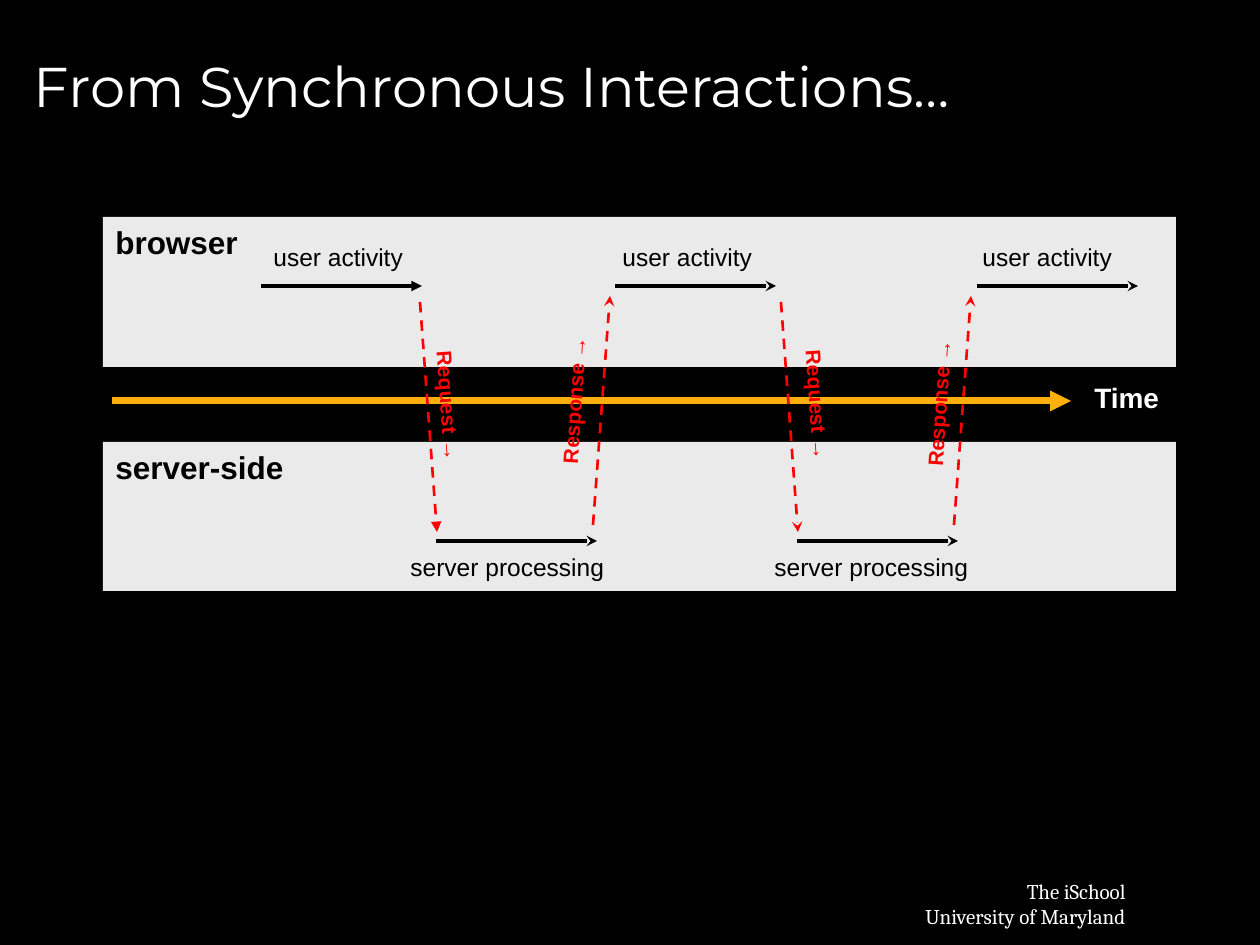
from lxml.etree import SubElement
from pptx import Presentation
from pptx.dml.color import RGBColor
from pptx.enum.dml import MSO_LINE
from pptx.enum.shapes import MSO_CONNECTOR, MSO_SHAPE
from pptx.enum.text import MSO_ANCHOR, PP_ALIGN
from pptx.oxml.ns import qn
from pptx.util import Pt

SCALE = 914400 / 126
BLACK, WHITE, RED, GOLD, GRAY = "000000", "FFFFFF", "FF0000", "FFB00F", "EAEAEA"


def paint(item, color):
    item.rgb = RGBColor.from_string(color)


def write(shape, text, size, color, bold=False, face="Arial", align=PP_ALIGN.LEFT,
          anchor=MSO_ANCHOR.TOP, wrap=False):
    frame = shape.text_frame
    frame.word_wrap = wrap
    frame.vertical_anchor = anchor
    for i, line in enumerate(text.split("\n")):
        para = frame.paragraphs[0] if i == 0 else frame.add_paragraph()
        para.alignment = align
        run = para.add_run()
        run.text = line
        run.font.size = Pt(size)
        run.font.name = face
        run.font.bold = bold
        paint(run.font.color, color)


deck = Presentation()
deck.slide_width, deck.slide_height = (round(v * SCALE) for v in (1260, 945))
slide = deck.slides.add_slide(deck.slide_layouts[6])
slide.background.fill.solid()
paint(slide.background.fill.fore_color, BLACK)
shapes = slide.shapes

for name, top, high in (("browser", 217, 150), ("server-side", 442, 149)):
    band = shapes.add_shape(MSO_SHAPE.RECTANGLE,
                            *[round(v * SCALE) for v in (103, top, 1073, high)])
    band.shadow.inherit = False
    band.fill.solid()
    paint(band.fill.fore_color, GRAY)
    band.line.fill.background()
    write(band, name, 18, BLACK, bold=True, wrap=True)

arrows = [(112, 401, 1071, 401, GOLD, 4, "triangle")]
for i, left in enumerate((261, 615, 977)):
    arrows.append((left, 286, left + 161, 286, BLACK, 2, "stealth" if i else "triangle"))
for i in range(2):
    move = 361 * i
    arrows += [
        (436 + move, 541, 597 + move, 541, BLACK, 2, "stealth"),
        (420 + move, 302, 437 + move, 532, RED, 1.5, "stealth" if i else "triangle"),
        (593 + move, 525, 610 + move, 296, RED, 1.5, "stealth"),
    ]
for *ends, color, width, tip in arrows:
    arrow = shapes.add_connector(MSO_CONNECTOR.STRAIGHT, *[round(v * SCALE) for v in ends])
    paint(arrow.line.color, color)
    arrow.line.width = Pt(width)
    if color == RED:
        arrow.line.dash_style = MSO_LINE.DASH
    SubElement(arrow.line._get_or_add_ln(), qn("a:tailEnd"), type=tip)
    SubElement(arrow._element.spPr, qn("a:effectLst"))

labels = [("Time", 1082, 374, 90, 47, 16, WHITE, True, 0)]
for left in (261, 610, 970):
    labels.append(("user activity", left, 236, 155, 43, 14, BLACK, False, 0))
for left in (398, 762):
    labels.append(("server processing", left, 546, 219, 43, 14, BLACK, False, 0))
for left, top in ((381, 387), (750, 386)):
    labels.append(("Request →", left, top, 135, 38, 12, RED, True, 86.1))
for left, top in ((498, 381), (863, 384)):
    labels.append(("Response →", left, top, 152, 38, 12, RED, True, 273.9))
for text, *place, size, color, bold, turn in labels:
    label = shapes.add_textbox(*[round(v * SCALE) for v in place])
    label.rotation = turn
    write(label, text, size, color, bold)

title = shapes.add_textbox(*[round(v * SCALE) for v in (21, 15, 1197, 141)])
write(title, "From Synchronous Interactions…", 32, WHITE, face="Montserrat",
      anchor=MSO_ANCHOR.MIDDLE, wrap=True)
foot = shapes.add_textbox(*[round(v * SCALE) for v in (893, 872, 245, 63)])
write(foot, "The iSchool\nUniversity of Maryland", 12, WHITE, face="Cambria",
      align=PP_ALIGN.RIGHT)

deck.save("out.pptx")
